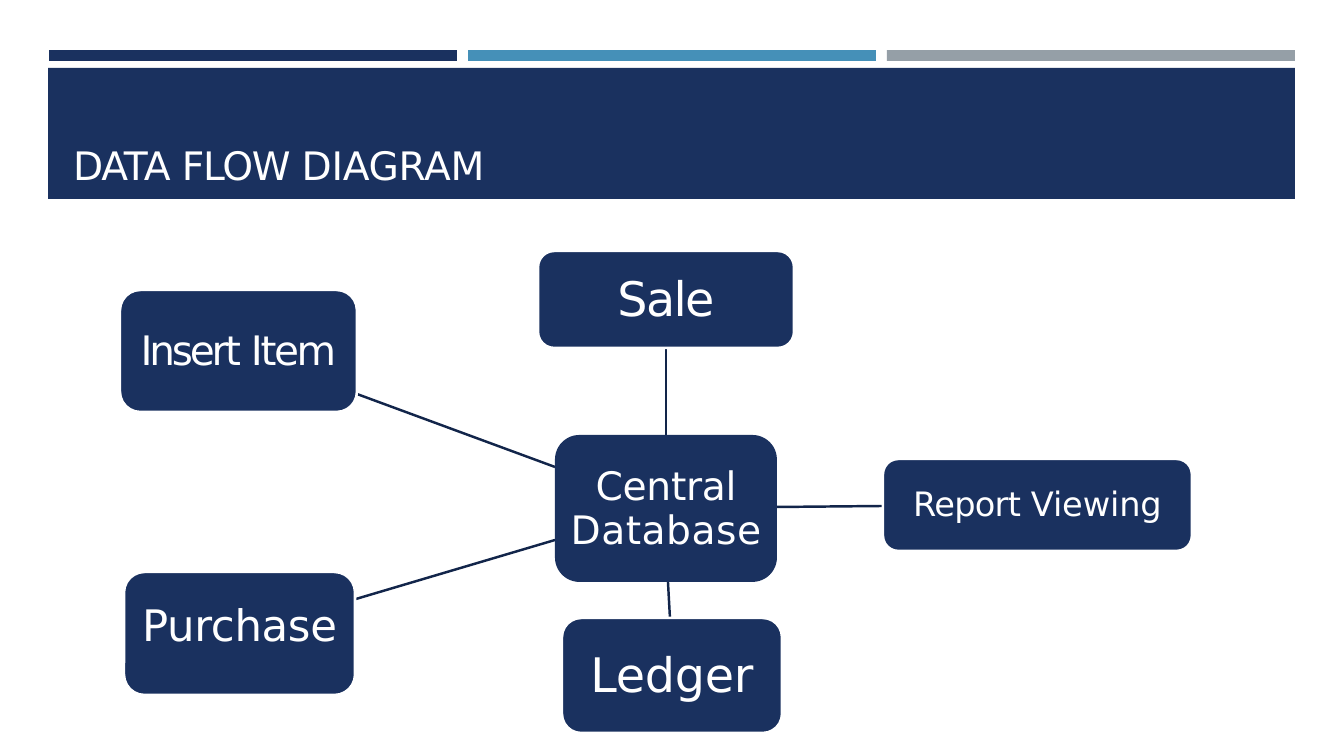
from lxml import etree
from pptx import Presentation
from pptx.dml.color import RGBColor
from pptx.enum.shapes import MSO_CONNECTOR, MSO_SHAPE
from pptx.enum.text import MSO_ANCHOR, MSO_AUTO_SIZE, PP_ALIGN
from pptx.oxml.ns import qn
from pptx.util import Emu, Pt

RECTANGLE, ROUNDED = MSO_SHAPE.RECTANGLE, MSO_SHAPE.ROUNDED_RECTANGLE
STRAIGHT = MSO_CONNECTOR.STRAIGHT
LEFT, CENTER = PP_ALIGN.LEFT, PP_ALIGN.CENTER
MIDDLE, BOTTOM = MSO_ANCHOR.MIDDLE, MSO_ANCHOR.BOTTOM
NO_AUTOFIT = MSO_AUTO_SIZE.NONE

FONT = "DejaVu Sans"
COLORS = {"navy": "1A315F", "blue": "4590B8", "gray": "959FA7",
          "link": "12254A", "white": "FFFFFF"}
COLORS = {name: RGBColor.from_string(value) for name, value in COLORS.items()}
SCALE = 914400 / 100.8


def px(*lengths):
    return [Emu(round(length * SCALE)) for length in lengths]


def write_label(shape, runs, size, align, anchor, insets):
    """Fill a shape with one paragraph; runs are (text, letter spacing in pt)."""
    frame = shape.text_frame
    left, bottom = px(*insets)
    frame_format = {"margin_left": left, "margin_right": 0, "margin_top": 0,
                    "margin_bottom": bottom, "word_wrap": True,
                    "auto_size": NO_AUTOFIT, "vertical_anchor": anchor}
    for attribute, value in frame_format.items():
        setattr(frame, attribute, value)
    paragraph = frame.paragraphs[0]
    paragraph.alignment = align
    for text, spacing in runs:
        run = paragraph.add_run()
        run.text = text
        run.font.name = FONT
        run.font.size = Pt(size)
        run.font.color.rgb = COLORS["white"]
        run.font._element.set("spc", str(round(spacing * 100)))


deck = Presentation()
deck.slide_width, deck.slide_height = px(1344, 756)
slide = deck.slides.add_slide(deck.slide_layouts[5])
shapes = slide.shapes

# Heading band and the three stripes above it
heading = shapes.title
heading.left, heading.top, heading.width, heading.height = px(48, 68, 1247, 131)
heading.fill.solid()
heading.fill.fore_color.rgb = COLORS["navy"]
write_label(heading, [("DATA ", -0.8), ("FLOW ", -0.9), ("DIAGRAM", -0.2)],
            28, LEFT, BOTTOM, (25, 11))

for column, color in enumerate(("navy", "blue", "gray")):
    stripe = shapes.add_shape(RECTANGLE, *px(49 + 419 * column, 50, 408, 11))
    stripe.shadow.inherit = False
    stripe.fill.solid()
    stripe.fill.fore_color.rgb = COLORS[color]
    stripe.line.fill.background()

# Links from the central database to each process
links = [
    (555, 467, 357, 394),
    (666, 435, 666, 348),
    (777, 507, 883, 506),
    (668, 582, 670, 618),
    (555, 540, 356, 599),
]
for ends in links:
    link = shapes.add_connector(STRAIGHT, *px(*ends))
    link.line.color.rgb = COLORS["link"]
    link.line.width = Pt(1.75)
    etree.SubElement(link._element.spPr, qn("a:effectLst"))

# Nodes: bounds, text runs, text size, bottom inset, outline
nodes = [
    ((555, 435, 222, 147), [("Central ", -0.2), ("Database", 0.4)], 28, 0, False),
    ((120, 290, 237, 122), [("Insert ", -2.3), ("Item", -1.7)], 29, 0, True),
    ((538, 251, 256, 97), [("Sale", -1.1)], 34, 0, True),
    ((883, 459, 309, 92), [("Report ", -0.5), ("Viewing", -0.1)], 24, 0, True),
    ((562, 618, 220, 115), [("Ledger", -0.1)], 34, 0, True),
    ((124, 572, 231, 123), [("Purchase", -0.2)], 31, 14, True),
]
for bounds, runs, size, bottom_inset, outlined in nodes:
    node = shapes.add_shape(ROUNDED, *px(*bounds))
    node.shadow.inherit = False
    node.fill.solid()
    node.fill.fore_color.rgb = COLORS["navy"]
    if outlined:
        node.line.color.rgb = COLORS["white"]
        node.line.width = Pt(1.8)
    else:
        node.line.fill.background()
    write_label(node, runs, size, CENTER, MIDDLE, (0, bottom_inset))
    node.text_frame.paragraphs[0].line_spacing = Pt(size * 1.11)

deck.save("out.pptx")
